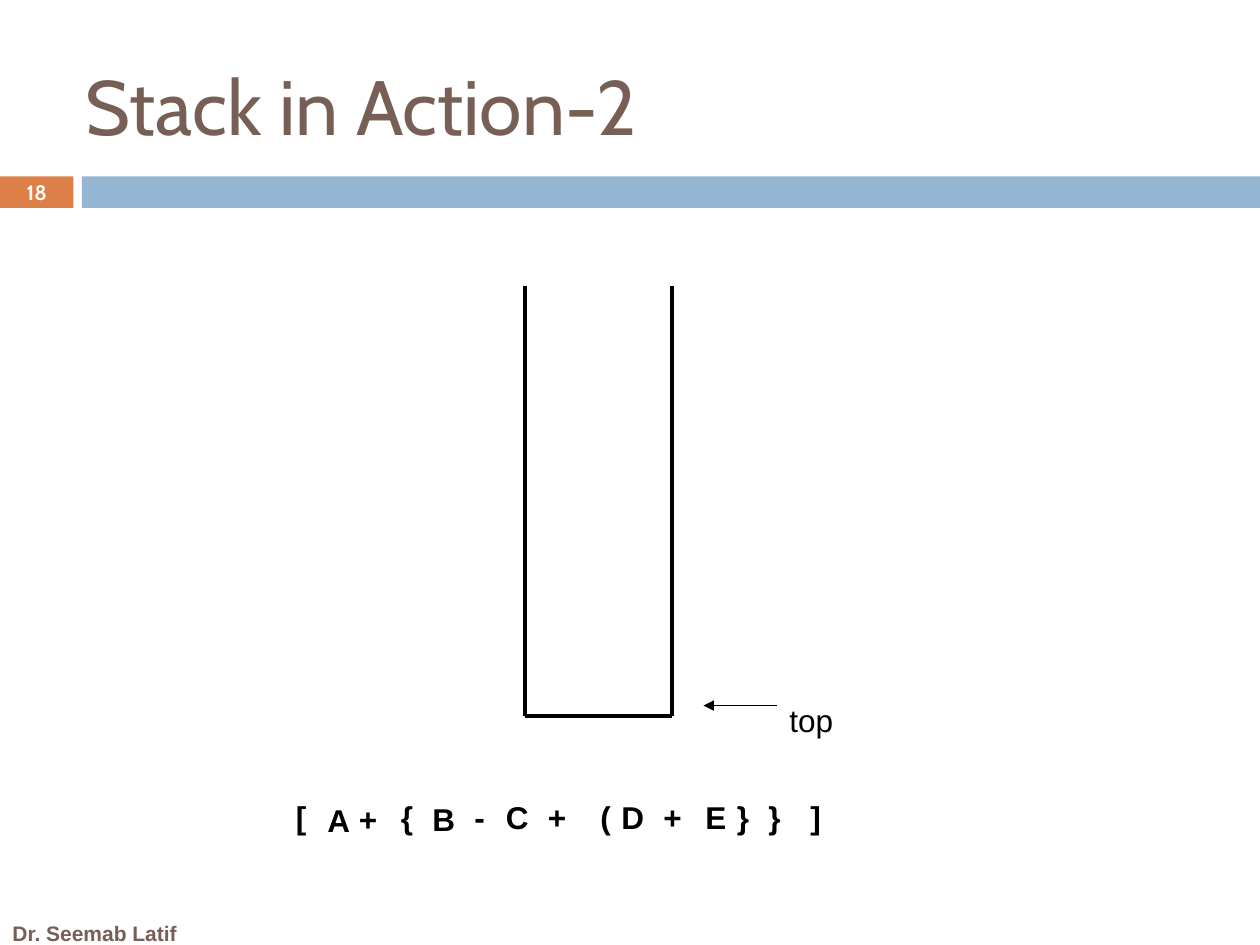
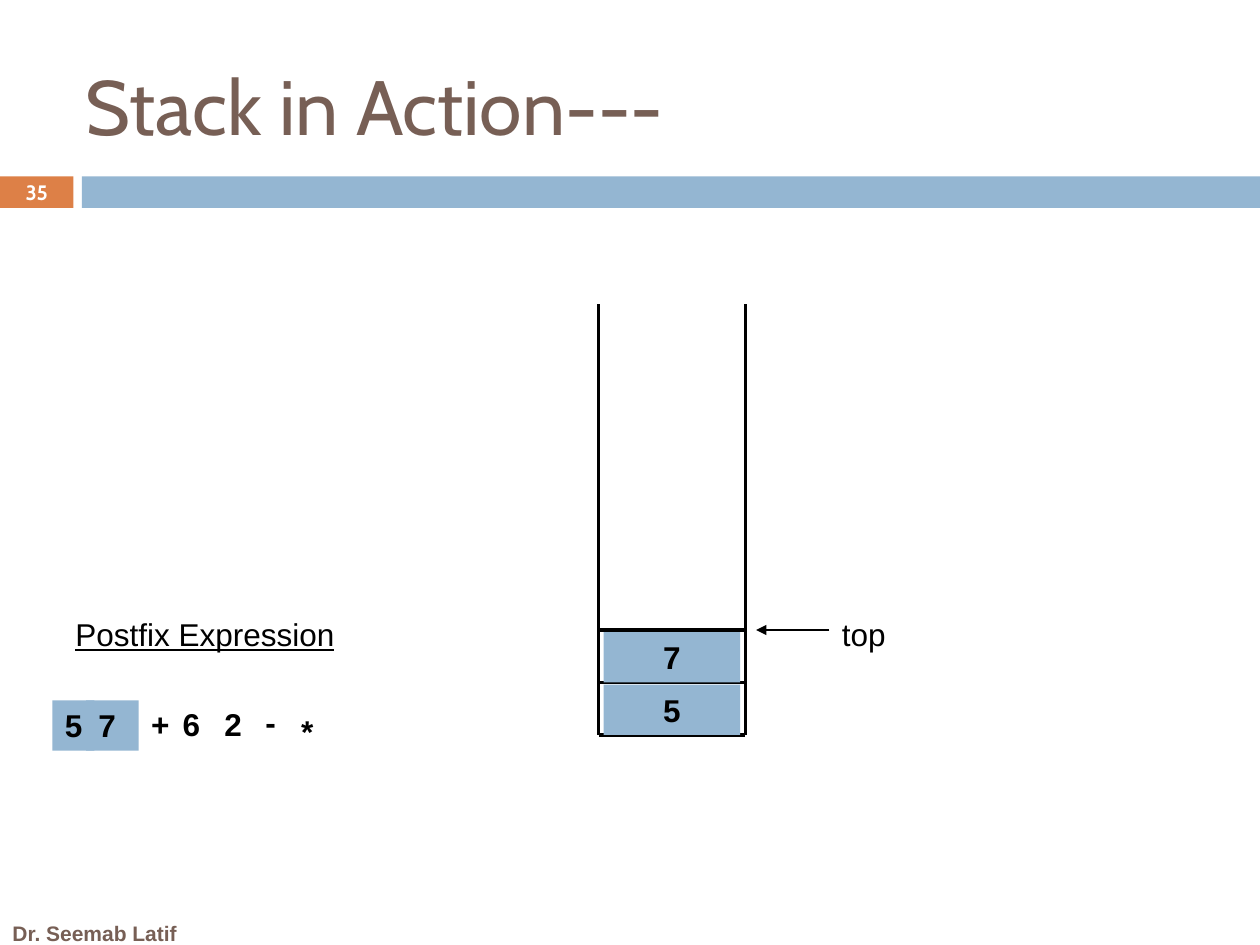
import pptx
import pptx.util
import pptx.dml.color
import pptx.enum.shapes
import pptx.enum.text
import pptx.oxml
import pptx.oxml.ns

# ---- Content: lengths are px, 120 to the inch ----
# A token is text, left, top, width; a pointer is its arrow's start and the label's top.
FOOTER = "Dr. Seemab Latif"
SLIDES = [
    dict(
        title="Stack in Action-2",
        number="18",
        stack=dict(left=500, top=272, items=[]),
        pointer=dict(left=740, arrow_y=672, label_top=662),
        heading=None,
        pushed_tokens=0,
        tokens=[
            ("[", 270, 754, 40), ("A", 300, 757, 50), ("+", 330, 756, 40),
            ("{", 370, 754, 40), ("B", 400, 756, 50), ("-", 440, 754, 40),
            ("C", 470, 754, 50), ("+", 510, 754, 50), ("(", 560, 754, 50),
            ("D", 580, 754, 50), ("+", 620, 754, 50), ("E", 660, 754, 50),
            ("}", 690, 754, 50), ("}", 720, 754, 50), ("]", 760, 754, 50),
        ],
    ),
    dict(
        title="Stack in Action---",
        number="35",
        stack=dict(left=570, top=290, items=["5", "7"]),
        pointer=dict(left=790, arrow_y=600, label_top=580),
        heading=("Postfix Expression", 60, 580, 330),
        pushed_tokens=2,
        tokens=[
            ("5", 50, 667, 40), ("7", 82, 667, 50), ("+", 132, 666, 40),
            ("6", 162, 666, 40), ("2", 202, 666, 50), ("-", 241, 664, 40),
            ("*", 275, 672, 50),
        ],
    ),
]

# ---- Theme ----
THEME = dict(
    orange="DD8047", blue="94B6D2", brown="775F55", black="000000", white="FFFFFF",
    wall=2.25, arrow=0.75,
)
LABEL = dict(name="Arial", size=18, color="black")
FORMATS = dict(
    title=dict(name="Cabin", size=44, color="brown"),
    number=dict(name="Cabin", size=11.9, color="white", bold=True),
    footer=dict(name="Arial", size=12, color="brown", bold=True),
    label=LABEL,
    heading=dict(LABEL, underline=True),
    token=dict(LABEL, bold=True),
)

# ---- Geometry ----
EMU_PER_PX = 7620
SLIDE_WIDTH, SLIDE_HEIGHT = 1200, 900
BAND_TOP, BAND_HEIGHT, NUMBER_WIDTH, BAND_LEFT = 168, 30, 70, 78
STACK_WIDTH, STACK_HEIGHT, ITEM_STEP = 140, 410, 50
ITEM_INSET, ITEM_GAP = 5, 2
ARROW_LENGTH, TEXT_HEIGHT = 70, 48


def px(*lengths):
    return [pptx.util.Emu(length * EMU_PER_PX) for length in lengths]


def color(name):
    return pptx.dml.color.RGBColor.from_string(THEME[name])


def write(shape, text, style, align="LEFT", anchor="TOP"):
    frame = shape.text_frame
    frame.word_wrap = True
    frame.vertical_anchor = getattr(pptx.enum.text.MSO_ANCHOR, anchor)
    paragraph = frame.paragraphs[0]
    paragraph.alignment = getattr(pptx.enum.text.PP_ALIGN, align)
    run = paragraph.add_run()
    run.text = text
    for attribute, value in FORMATS[style].items():
        if attribute == "color":
            run.font.color.rgb = color(value)
        else:
            setattr(run.font, attribute, pptx.util.Pt(value) if attribute == "size" else value)


def add_text(slide, text, box, style, **placing):
    write(slide.shapes.add_textbox(*px(*box)), text, style, **placing)


def add_rectangle(slide, box, fill):
    shape = slide.shapes.add_shape(pptx.enum.shapes.MSO_SHAPE.RECTANGLE, *px(*box))
    shape.shadow.inherit = False
    shape.fill.solid()
    shape.fill.fore_color.rgb = color(fill)
    shape.line.fill.background()
    return shape


def add_line(slide, ends, weight, arrow=False):
    connector = slide.shapes.add_connector(pptx.enum.shapes.MSO_CONNECTOR.STRAIGHT, *px(*ends))
    connector.line.color.rgb = color("black")
    connector.line.width = pptx.util.Pt(THEME[weight])
    properties = connector._element.spPr
    if arrow:
        head = pptx.oxml.parse_xml(f'<a:tailEnd {pptx.oxml.ns.nsdecls("a")} type="triangle"/>')
        properties.ln.append(head)
    properties.append(pptx.oxml.parse_xml(f'<a:effectLst {pptx.oxml.ns.nsdecls("a")}/>'))


def add_frame(slide, title, number):
    add_rectangle(slide, (0, BAND_TOP, NUMBER_WIDTH, BAND_HEIGHT), "orange")
    add_rectangle(slide, (BAND_LEFT, BAND_TOP, SLIDE_WIDTH - BAND_LEFT, BAND_HEIGHT), "blue")
    add_text(slide, FOOTER, (0, 870, 220, 38), "footer", anchor="MIDDLE")
    add_text(slide, title, (70, 50, 790, 101), "title")
    add_text(slide, number, (0, BAND_TOP - 1, NUMBER_WIDTH, BAND_HEIGHT + 2), "number",
             align="CENTER", anchor="MIDDLE")


def add_stack(slide, left, top, items):
    right, bottom = left + STACK_WIDTH, top + STACK_HEIGHT
    for x in (left, right):
        add_line(slide, (x, top, x, bottom), "wall")
    add_line(slide, (left, bottom, right, bottom), "wall")
    # Items pile up from the bottom, each below its own lid line
    for level, item in enumerate(items, start=1):
        lid = bottom - level * ITEM_STEP
        add_line(slide, (left, lid, right, lid), "wall")
        box = (left + ITEM_INSET, lid + ITEM_GAP, STACK_WIDTH - 2 * ITEM_INSET, TEXT_HEIGHT)
        write(add_rectangle(slide, box, "blue"), item, "token", align="CENTER")


def add_pointer(slide, left, arrow_y, label_top):
    add_text(slide, "top", (left, label_top, 180, TEXT_HEIGHT), "label")
    add_line(slide, (left, arrow_y, left - ARROW_LENGTH, arrow_y), "arrow", arrow=True)


def add_expression(slide, tokens, pushed_count):
    for index, (text, left, top, width) in enumerate(tokens):
        box = (left, top, width, TEXT_HEIGHT)
        if index < pushed_count:
            write(add_rectangle(slide, box, "blue"), text, "token")
        else:
            add_text(slide, text, box, "token")


def main():
    presentation = pptx.Presentation()
    presentation.slide_width, presentation.slide_height = px(SLIDE_WIDTH, SLIDE_HEIGHT)
    for content in SLIDES:
        slide = presentation.slides.add_slide(presentation.slide_layouts[6])
        add_frame(slide, content["title"], content["number"])
        add_stack(slide, **content["stack"])
        add_pointer(slide, **content["pointer"])
        add_expression(slide, content["tokens"], content["pushed_tokens"])
        if content["heading"]:
            text, left, top, width = content["heading"]
            add_text(slide, text, (left, top, width, TEXT_HEIGHT), "heading")
    presentation.save("out.pptx")


if __name__ == "__main__":
    main()
